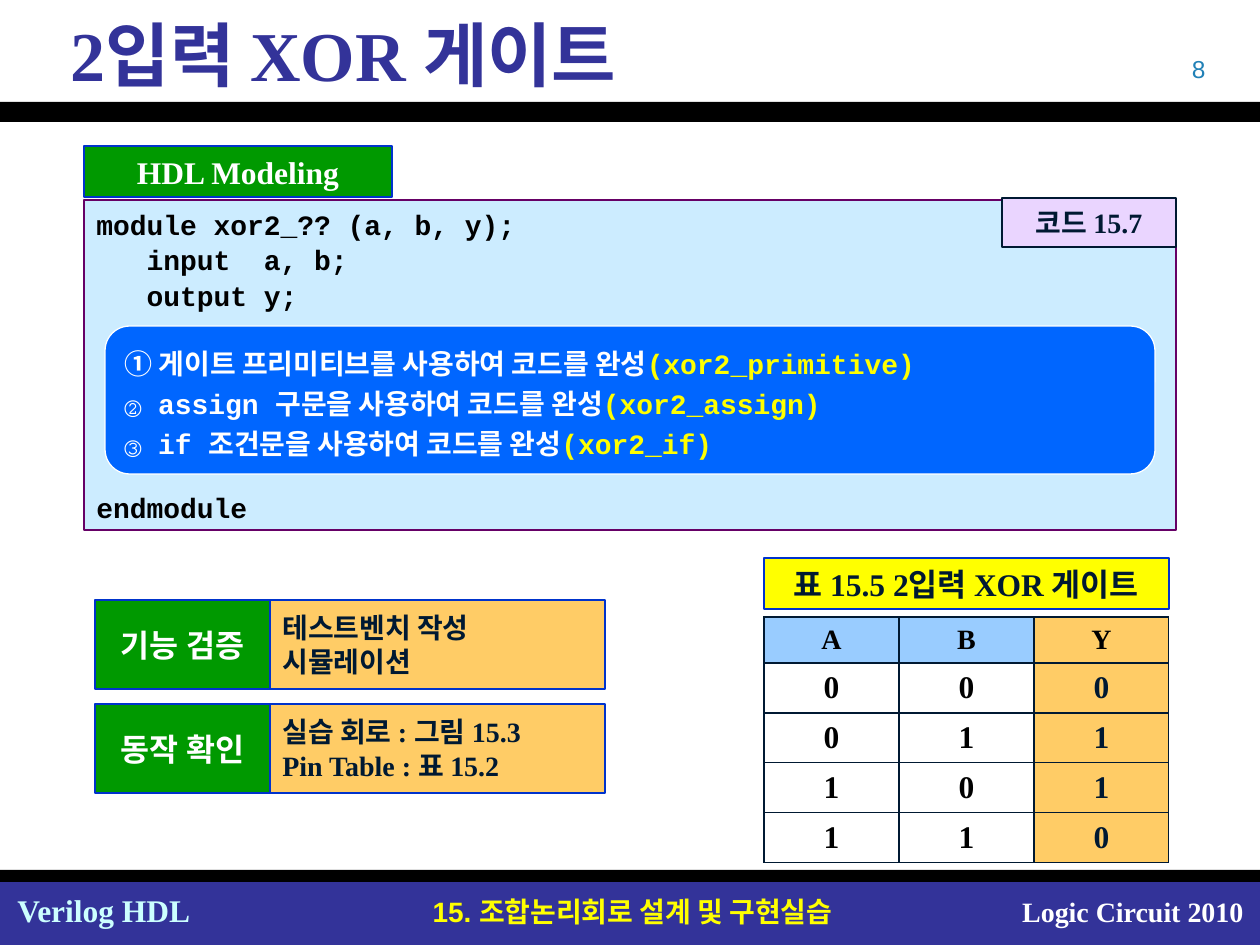
from lxml import etree
from pptx import Presentation
from pptx import util as u
from pptx.dml.color import RGBColor
from pptx.enum import shapes, text
from pptx.oxml import ns

SERIF, SANS, MONO, HANGUL = "Times New Roman", "Arial", "Courier New", "Noto Sans CJK KR"
NAVY, INK, BLACK, WHITE = "333399", "001932", "000000", "FFFFFF"
BLUE, GREEN, ORANGE, YELLOW = "0033CC", "009900", "FFCC66", "FFFF00"
LEFT, CENTER, RIGHT = text.PP_ALIGN.LEFT, text.PP_ALIGN.CENTER, text.PP_ALIGN.RIGHT
MIDDLE, TOP = text.MSO_ANCHOR.MIDDLE, text.MSO_ANCHOR.TOP


def px(length):
    return u.Emu(round(length * 914400 / 126))


def color(value):
    return RGBColor.from_string(value)


class Painter:
    def __init__(self, page, font=SERIF, size=16, ink=INK):
        self.page = page
        self.font = font
        self.size = size
        self.ink = ink

    def span(self, para, words, size, ink, font, bold):
        span = para.add_run()
        span.text = words
        span.font.name = font
        span.font.size = u.Pt(size)
        span.font.bold = bold
        span.font.color.rgb = color(ink)
        east = etree.SubElement(span.font._element, ns.qn("a:ea"))
        east.set("typeface", HANGUL)

    def fill_text(self, frame, lines, size=None, ink=None, font=None, align=CENTER,
                  anchor=MIDDLE, bold=True, spacing=None):
        frame.auto_size = text.MSO_AUTO_SIZE.NONE
        frame.word_wrap = align != CENTER
        frame.vertical_anchor = anchor
        for index, line in enumerate(lines):
            para = frame.add_paragraph() if index else frame.paragraphs[0]
            para.alignment = align
            if spacing:
                para.line_spacing = spacing
            for words, tint in [(line, ink)] if isinstance(line, str) else line:
                self.span(para, words, size or self.size, tint or self.ink,
                          font or self.font, bold)

    def title(self, place, words):
        box = self.page.shapes.title
        box.left, box.top, box.width, box.height = map(px, place)
        box.text_frame.margin_left = px(50)
        self.fill_text(box.text_frame, [words], 40, NAVY, align=LEFT)

    def label(self, place, words, **style):
        box = self.page.shapes.add_textbox(*map(px, place))
        self.fill_text(box.text_frame, [words], anchor=TOP, **style)

    def block(self, place, fill, line=None, width=1.5, lines=(),
              kind=shapes.MSO_SHAPE.RECTANGLE, **style):
        box = self.page.shapes.add_shape(kind, *map(px, place))
        box.shadow.inherit = False
        box.fill.solid()
        box.fill.fore_color.rgb = color(fill)
        if line:
            box.line.color.rgb = color(line)
            box.line.width = u.Pt(width)
        else:
            box.line.fill.background()
        self.fill_text(box.text_frame, lines, **style)
        return box

    def border(self, cell):
        props = cell._tc.get_or_add_tcPr()
        for index, side in enumerate(("lnL", "lnR", "lnT", "lnB")):
            edge = etree.Element(ns.qn("a:" + side), w=str(u.Pt(0.75)))
            fill = etree.SubElement(edge, ns.qn("a:solidFill"))
            etree.SubElement(fill, ns.qn("a:srgbClr"), val=INK)
            props.insert(index, edge)

    def table(self, place, rows, heights):
        grid = self.page.shapes.add_table(len(rows), len(rows[0]), *map(px, place)).table
        for row, height in zip(grid.rows, heights):
            row.height = px(height)
        for r, values in enumerate(rows):
            for c, value in enumerate(values):
                cell = grid.cell(r, c)
                output = c == len(values) - 1
                fill = ORANGE if output else WHITE if r else "99CCFF"
                cell.fill.solid()
                cell.fill.fore_color.rgb = color(fill)
                self.border(cell)
                ink = INK if output and r else BLACK
                self.fill_text(cell.text_frame, [value], 18 if r else 16, ink)
                cell.vertical_anchor = MIDDLE


def main():
    deck = Presentation()
    deck.slide_width, deck.slide_height = px(1260), px(945)
    page = deck.slides.add_slide(deck.slide_layouts[5])
    painter = Painter(page)

    for top, height, fill in ((882, 63, NAVY), (102, 20, BLACK), (870, 12, BLACK)):
        painter.block((0, top, 1260, height), fill)
    painter.label((387, 888, 491, 47), "15. 조합논리회로 설계 및 구현실습",
                  ink=YELLOW, font=SANS)
    painter.label((993, 888, 263, 47), "Logic Circuit 2010", ink=WHITE, align=RIGHT)
    painter.label((5, 885, 220, 50), "Verilog HDL", size=18, ink="CCFFFF", align=LEFT)
    painter.label((924, 48, 294, 42), "8", size=14, ink="2181B7", font=SANS,
                  align=RIGHT, bold=False)
    painter.title((21, 13, 1218, 82), "2입력 XOR 게이트")

    code = painter.block(
        (84, 200, 1092, 330), "CCECFF", "660066",
        lines=["module xor2_?? (a, b, y);", "   input  a, b;", "   output y;", "endmodule"],
        ink=BLACK, font=MONO, align=LEFT, spacing=1.05)
    code.text_frame.paragraphs[-1].space_before = u.Pt(101)
    painter.block((1002, 198, 174, 49), "EAD5FF", INK, lines=["코드 15.7"])

    tasks = (("① 게이트 프리미티브를", "primitive"), ("② assign 구문을", "assign"),
             ("③ if 조건문을", "if"))
    painter.block(
        (105, 326, 1050, 148), "0066FF", WHITE, 0.75,
        [[(f"{means} 사용하여 코드를 완성", WHITE), (f"(xor2_{name})", YELLOW)]
         for means, name in tasks],
        shapes.MSO_SHAPE.ROUNDED_RECTANGLE, font=MONO, align=LEFT, spacing=1.2)
    painter.block((84, 146, 308, 51), GREEN, BLUE, lines=["HDL Modeling"], size=18, ink=WHITE)

    steps = (("기능 검증", ["테스트벤치 작성", "시뮬레이션"]),
             ("동작 확인", ["실습 회로 : 그림 15.3", "Pin Table : 표 15.2"]))
    for index, (name, details) in enumerate(steps):
        top = 600 + 104 * index
        painter.block((270, top, 335, 89), ORANGE, BLUE, lines=details, align=LEFT)
        painter.block((95, top, 175, 89), GREEN, BLUE, lines=[name], size=18,
                      ink=WHITE, font=HANGUL)

    truth = ["ABY"] + [f"{a}{b}{a ^ b}" for a in (0, 1) for b in (0, 1)]
    painter.table((764, 617, 405, 248), truth, [46] + [50] * 4)
    painter.block((764, 558, 405, 51), YELLOW, BLUE,
                  lines=["표 15.5 2입력 XOR 게이트"], size=18)
    deck.save("out.pptx")


if __name__ == "__main__":
    main()
